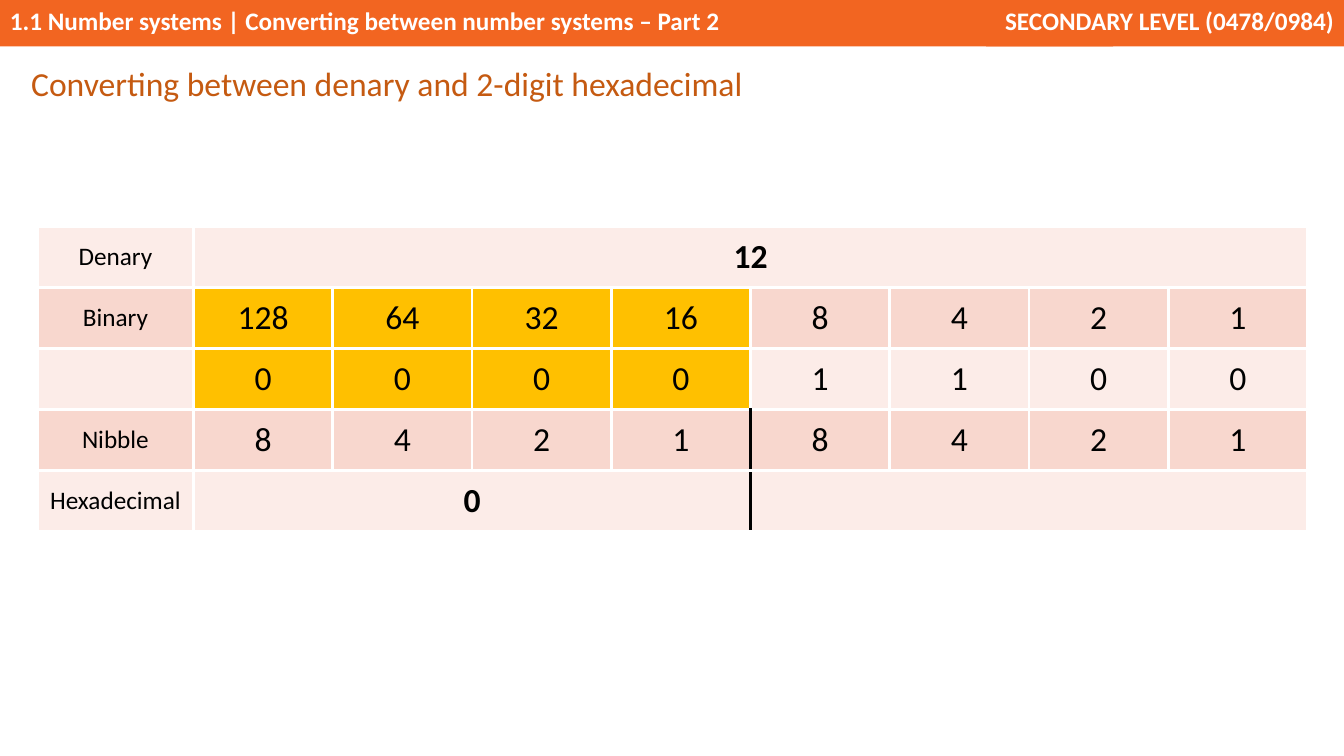
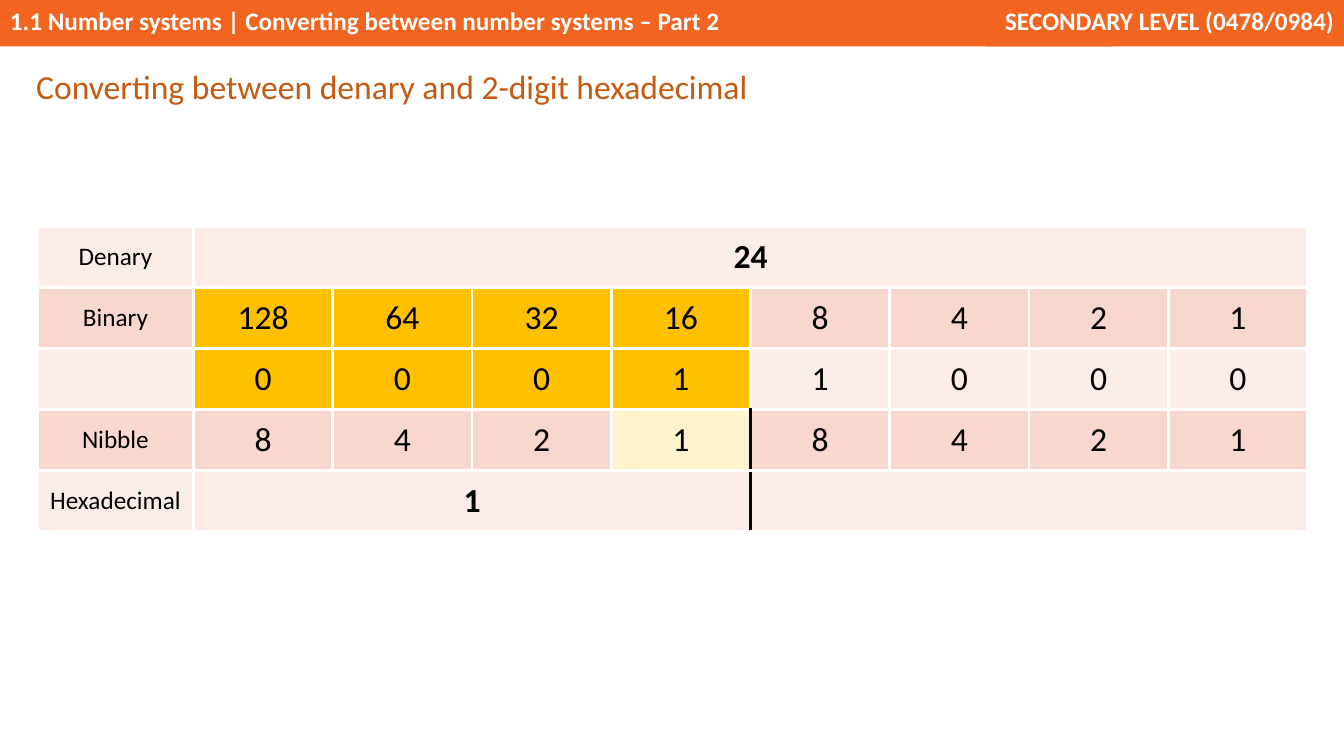
from lxml import etree
from pptx import Presentation
from pptx import util as u
from pptx.dml.color import RGBColor
from pptx.enum import shapes, text
from pptx.oxml import ns

# Shared look
FONT = "Calibri"
ORANGE, TITLE_COLOUR = "F26521", "C55A11"
WHITE, BLACK = "FFFFFF", "000000"
PALE, PINK = "FCECE8", "F8D7CE"
HIGH_NIBBLE, SET_BIT = "FFC000", "FFF2CC"

# Shared wording
TOPIC = "1.1 Number systems | Converting between number systems – Part 2"
COURSE = "SECONDARY LEVEL (0478/0984)"
TITLE = "Converting between denary and 2-digit hexadecimal"
ROW_LABELS = ["Denary", "Binary", "", "Nibble", "Hexadecimal"]

# Table geometry
TABLE_LEFT, TABLE_TOP, TABLE_WIDTH, TABLE_HEIGHT = 0.37, 2.25, 12.6, 3.02
LABEL_WIDTH = 1.55
BITS = 8
SPLIT = 4  # last column of the high nibble
NIBBLE_ROW, HEX_ROW = 3, 4


def colour(value):
    return RGBColor.from_string(value)


def add_run(paragraph, content, size, text_colour=BLACK, bold=False):
    run = paragraph.add_run()
    run.text = content
    run.font.name = FONT
    run.font.size = u.Pt(size)
    run.font.bold = bold
    run.font.color.rgb = colour(text_colour)


def add_band(slide, left, width, content, alignment):
    shape = slide.shapes.add_shape(
        shapes.MSO_SHAPE.RECTANGLE,
        u.Inches(left), u.Inches(0), u.Inches(width), u.Inches(0.46))
    shape.shadow.inherit = False
    shape.fill.solid()
    shape.fill.fore_color.rgb = colour(ORANGE)
    shape.line.fill.background()
    shape.text_frame.vertical_anchor = text.MSO_ANCHOR.TOP
    paragraph = shape.text_frame.paragraphs[0]
    paragraph.alignment = alignment
    add_run(paragraph, content, 18, WHITE, bold=True)


def add_header(slide):
    add_band(slide, 0, 11.04, TOPIC, text.PP_ALIGN.LEFT)
    add_band(slide, 9.78, 3.55, COURSE, text.PP_ALIGN.RIGHT)


def add_title(slide, left, top):
    box = slide.shapes.add_textbox(
        u.Inches(left), u.Inches(top), u.Inches(7.42), u.Inches(0.51))
    box.text_frame.word_wrap = True
    paragraph = box.text_frame.paragraphs[0]
    paragraph.line_spacing = 1.07
    paragraph.space_after = u.Pt(8)
    add_run(paragraph, TITLE, 24, TITLE_COLOUR)


def set_borders(cell, black_side=None):
    properties = cell._tc.get_or_add_tcPr()
    for side in "LRTB":
        line = etree.SubElement(
            properties, ns.qn(f"a:ln{side}"), w=str(u.Pt(2.25)))
        fill = etree.SubElement(line, ns.qn("a:solidFill"))
        etree.SubElement(fill, ns.qn("a:srgbClr"),
                         val=BLACK if side == black_side else WHITE)


def nibble_divider(row, column):
    """Side of a cell that lies on the line between the two nibbles."""
    if row < NIBBLE_ROW:
        return None
    if column == SPLIT or (row == HEX_ROW and column == 1):
        return "R"
    return "L" if column == SPLIT + 1 else None


def cell_fill(row, column, rows):
    if 1 <= column <= SPLIT:
        if row in (1, 2):
            return HIGH_NIBBLE
        if row == NIBBLE_ROW and rows[2][column] == "1":
            return SET_BIT
    return PINK if row % 2 else PALE


def table_rows(number):
    """Cell texts by row; the low hexadecimal digit is left to be found."""
    blank = [""] * (BITS - 1)
    values = [
        [str(number), *blank],
        [str(2 ** power) for power in reversed(range(BITS))],
        list(format(number, "08b")),
        ["8", "4", "2", "1"] * 2,
        [format(number >> 4, "X"), *blank],
    ]
    return [[label, *row] for label, row in zip(ROW_LABELS, values)]


def add_conversion_table(slide, number):
    rows = table_rows(number)
    table = slide.shapes.add_table(
        len(rows), BITS + 1, u.Inches(TABLE_LEFT), u.Inches(TABLE_TOP),
        u.Inches(TABLE_WIDTH), u.Inches(TABLE_HEIGHT)).table
    table.first_row = table.horz_banding = False

    # Even grid beside the label column
    for row in table.rows:
        row.height = u.Inches(TABLE_HEIGHT / len(rows))
    for index, column in enumerate(table.columns):
        column.width = u.Inches(
            (TABLE_WIDTH - LABEL_WIDTH) / BITS if index else LABEL_WIDTH)

    # Cells
    for r, row in enumerate(rows):
        for c, content in enumerate(row):
            cell = table.cell(r, c)
            set_borders(cell, nibble_divider(r, c))
            cell.fill.solid()
            cell.fill.fore_color.rgb = colour(cell_fill(r, c, rows))
            cell.vertical_anchor = text.MSO_ANCHOR.MIDDLE
            if content:
                paragraph = cell.text_frame.paragraphs[0]
                paragraph.alignment = text.PP_ALIGN.CENTER
                add_run(paragraph, content, 24 if c else 18,
                        bold=c > 0 and r in (0, HEX_ROW))

    # Wide cells for the denary number and the two hexadecimal digits
    for r, first, last in [(0, 1, BITS), (HEX_ROW, 1, SPLIT),
                           (HEX_ROW, SPLIT + 1, BITS)]:
        table.cell(r, first).merge(table.cell(r, last))


def main():
    presentation = Presentation()
    presentation.slide_width = u.Inches(13.33)
    presentation.slide_height = u.Inches(7.5)
    for number, title_left, title_top in [(12, 0.21, 0.55), (24, 0.26, 0.58)]:
        slide = presentation.slides.add_slide(presentation.slide_layouts[6])
        add_header(slide)
        add_conversion_table(slide, number)
        add_title(slide, title_left, title_top)
    presentation.save("out.pptx")


if __name__ == "__main__":
    main()
